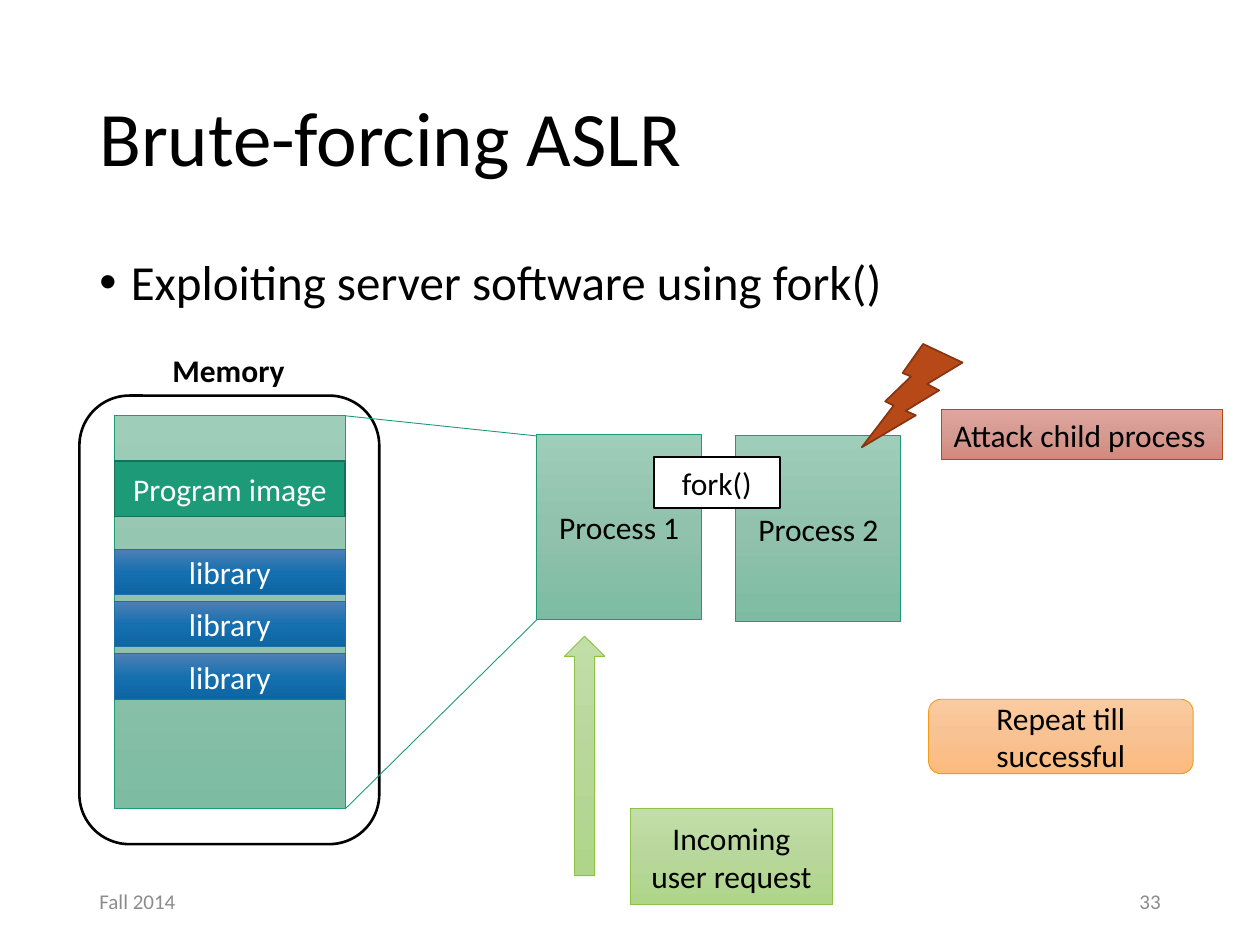
from copy import deepcopy
from lxml import etree
from pptx import Presentation
from pptx.dml.color import RGBColor
from pptx.enum.shapes import MSO_CONNECTOR, MSO_SHAPE
from pptx.enum.text import MSO_ANCHOR, PP_ALIGN
from pptx.oxml.ns import qn
from pptx.util import Inches, Pt

RECT = MSO_SHAPE.RECTANGLE
ROUND = MSO_SHAPE.ROUNDED_RECTANGLE
ARROW = MSO_SHAPE.UP_ARROW
BOLT = MSO_SHAPE.LIGHTNING_BOLT
LINE = MSO_CONNECTOR.STRAIGHT
LEFT, MID, RIGHT = PP_ALIGN.LEFT, PP_ALIGN.CENTER, PP_ALIGN.RIGHT
TOP, CENTER = MSO_ANCHOR.TOP, MSO_ANCHOR.MIDDLE

BLACK = RGBColor(0x00, 0x00, 0x00)
WHITE = RGBColor(0xFF, 0xFF, 0xFF)
GRAY = RGBColor(0x8C, 0x8C, 0x8C)
TEAL = RGBColor(0x1D, 0x9A, 0x78)
PINE = RGBColor(0x15, 0x72, 0x59)
BLUE = RGBColor(0x1D, 0x6F, 0xA9)
LIME = RGBColor(0x8B, 0xC1, 0x45)
RUST = RGBColor(0xB7, 0x49, 0x19)
BROWN = RGBColor(0x87, 0x36, 0x12)
GOLD = RGBColor(0xF1, 0x9D, 0x19)
MINT = [RGBColor(0x9E, 0xCD, 0xBA), RGBColor(0x91, 0xC2, 0xAE), RGBColor(0x7D, 0xBC, 0xA3)]
SEA = [RGBColor(0x4E, 0x80, 0xB5), RGBColor(0x16, 0x70, 0xB0), RGBColor(0x0D, 0x65, 0xA3)]
LEAF = [RGBColor(0xC2, 0xDE, 0xA8), RGBColor(0xB8, 0xD7, 0x9B), RGBColor(0xAE, 0xD5, 0x88)]
ROSE = [RGBColor(0xE0, 0xA6, 0x9E), RGBColor(0xD5, 0x9A, 0x91), RGBColor(0xD4, 0x88, 0x7C)]
PEACH = [RGBColor(0xFA, 0xCB, 0xA0), RGBColor(0xF8, 0xC2, 0x92), RGBColor(0xFC, 0xBA, 0x7D)]

deck = Presentation()
deck.slide_width, deck.slide_height = Inches(10), Inches(7.5)
COL = deck.slide_width / 100
ROW = deck.slide_height / 75
slide = deck.slides.add_slide(deck.slide_layouts[6])
shapes = slide.shapes


def write(shape, text, size=18, color=BLACK, align=MID, anchor=CENTER, bold=False, wrap=True):
    frame = shape.text_frame
    frame.word_wrap = wrap
    frame.vertical_anchor = anchor
    para = frame.paragraphs[0]
    para.alignment = align
    run = para.add_run()
    run.text = text
    run.font.name = "Calibri"
    run.font.size = Pt(size)
    run.font.bold = bold
    run.font.color.rgb = color
    return para


def draw(kind, x, y, w, h, fill, edge, width=0.5):
    shape = shapes.add_shape(kind, round(x * COL), round(y * ROW), round(w * COL), round(h * ROW))
    shape.shadow.inherit = False
    shape.line.color.rgb = edge
    shape.line.width = Pt(width)
    if fill is None:
        shape.fill.background()
    elif isinstance(fill, list):
        shape.fill.gradient()
        shape.fill.gradient_angle = 270
        first = shape._element.spPr.find(".//" + qn("a:gs"))
        first.addnext(deepcopy(first))
        for stop, tint, place in zip(shape.fill.gradient_stops, fill, (0, 0.5, 1)):
            stop.color.rgb = tint
            stop.position = place
    else:
        shape.fill.solid()
        shape.fill.fore_color.rgb = fill
    return shape


notes = [
    (6.9, 4, 86.2, 14.5, "Brute-forcing ASLR", 44, BLACK, LEFT, CENTER, False, True),
    (6.9, 20, 86.2, 8.5, "Exploiting server software using fork()", 28, BLACK, LEFT, TOP, False, True),
    (6.9, 69.5, 22.5, 4, "Fall 2014", 12, GRAY, LEFT, CENTER, False, True),
    (70.6, 69.5, 22.5, 4, "33", 12, GRAY, RIGHT, CENTER, False, True),
    (12.7, 27.4, 11, 4, "Memory", 18, BLACK, LEFT, TOP, True, False),
]
paras = []
for x, y, w, h, *style in notes:
    box = shapes.add_textbox(round(x * COL), round(y * ROW), round(w * COL), round(h * ROW))
    paras.append(write(box, *style))
title, point = paras[:2]
title.line_spacing = point.line_spacing = 0.9
point.space_before = Pt(10)
props = point._p.get_or_add_pPr()
props.set("marL", str(Inches(0.25)))
props.set("indent", str(-Inches(0.25)))
etree.SubElement(props, qn("a:buFont"), typeface="Arial")
etree.SubElement(props, qn("a:buChar"), char="•")

draw(ROUND, 6.3, 31.4, 23.8, 35.6, None, BLACK, 1.5)
draw(RECT, 9.1, 33, 18.3, 31.2, MINT, TEAL)
write(draw(RECT, 9.1, 36.6, 18.3, 4.4, TEAL, PINE, 1), "Program image", color=WHITE)
for i in range(3):
    write(draw(RECT, 9.1, 43.6 + 4.15 * i, 18.3, 3.6, SEA, BLUE), "library", color=WHITE)

for i in range(2):
    write(draw(RECT, 42.6 + 15.8 * i, 34.5 + 0.1 * i, 13.1, 14.7, MINT, TEAL), f"Process {i + 1}")
for start, end in ((34.6, 33), (49.2, 64.2)):
    link = shapes.add_connector(LINE, round(42.6 * COL), round(start * ROW), round(27.4 * COL), round(end * ROW))
    link.line.color.rgb = TEAL
    link.line.width = Pt(0.5)
    etree.SubElement(link._element.spPr, qn("a:effectLst"))

draw(ARROW, 44.8, 50.5, 3.2, 19, LEAF, LIME)
write(draw(RECT, 50, 64.2, 16.1, 7.6, LEAF, LIME), "Incoming user request")
bolt = draw(BOLT, 68.4, 27.3, 8, 8.2, RUST, BROWN, 1)
bolt._element.spPr.find(qn("a:xfrm")).set("flipH", "1")
write(draw(RECT, 74.7, 32.5, 22.3, 4, ROSE, RUST), "Attack child process", align=LEFT, anchor=TOP, wrap=False)
write(draw(RECT, 51.9, 36.3, 10, 4, WHITE, BLACK, 1), "fork()")
write(draw(ROUND, 73.7, 55.5, 21, 5.9, PEACH, GOLD), "Repeat till successful")

deck.save("out.pptx")
